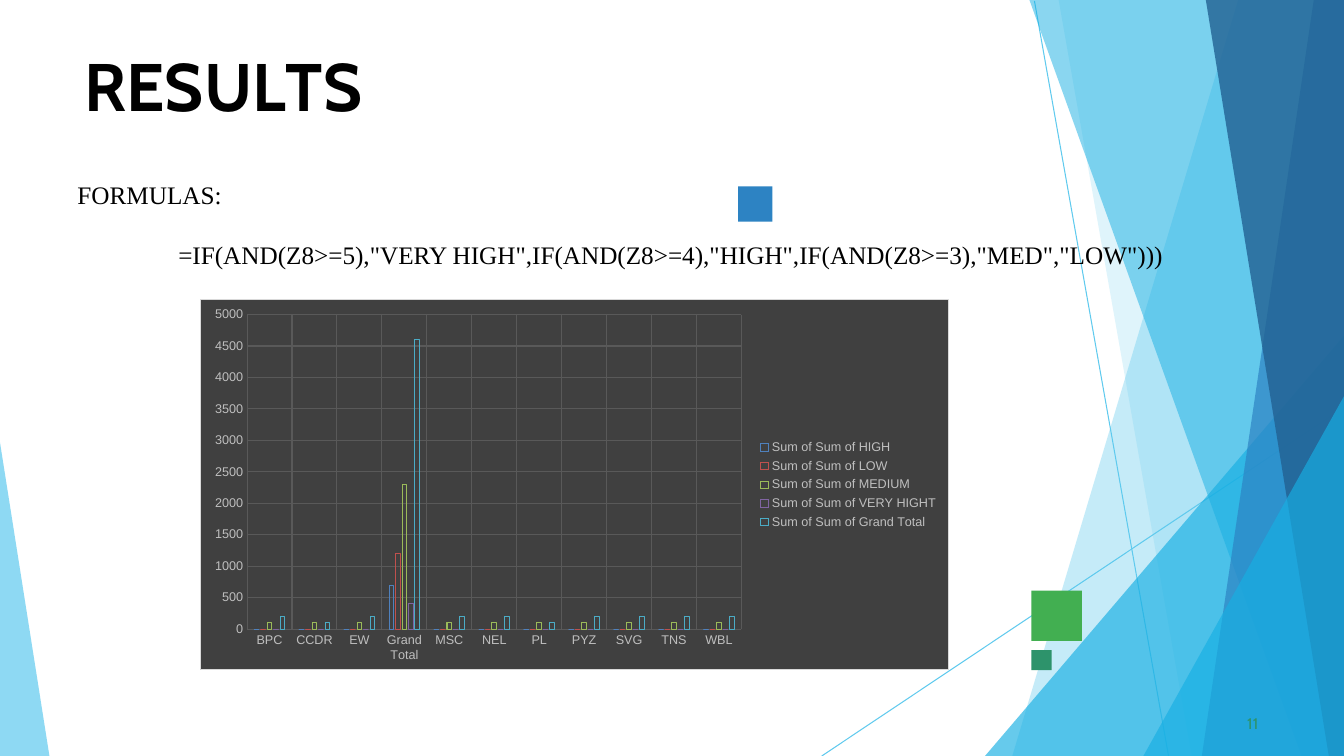
from lxml import etree
from pptx import Presentation
from pptx.chart.data import CategoryChartData
from pptx.dml.color import RGBColor
from pptx.enum.chart import XL_CHART_TYPE as CT, XL_LEGEND_POSITION as LP, XL_TICK_MARK as TM
from pptx.enum.shapes import MSO_CONNECTOR as MC, MSO_SHAPE as MS
from pptx.oxml import parse_xml
from pptx.oxml.ns import nsdecls, qn
from pptx.util import Inches, Pt

W, H = 13.33, 7.5
SERIF, SANS, CHART_FONT = "Times New Roman", "Cabin", "Arial"

# Each facet: outline points, colour, opacity in percent
FACETS = [
    ([(W, 0), (12.28, 0), (10.04, H), (W, H)], "5FCAEE", 36),
    ([(W, 0), (10.5, 0), (11.82, H), (W, H)], "5FCAEE", 20),
    ([(W, 3.33), (9.77, H), (W, H)], "17AFE3", 66),
    ([(W, 0), (10.21, 0), (12.91, H), (W, H)], "17AFE3", 50),
    ([(W, 0), (13.03, 0), (11.92, H), (W, H)], "2D83C3", 70),
    ([(W, 0), (11.96, 0), (13.18, H), (W, H)], "226192", 80),
    ([(W, 3.93), (11.34, H), (W, H)], "17AFE3", 66),
    ([(0, 4.39), (0, H), (0.49, H)], "5FCAEE", 70),
]
RAYS = [(10.26, 0.01, 11.59, H), (W, 4.04, 8.15, H)]
SQUARES = [
    (10.23, 5.86, 0.5, 0.5, "42AF51"),
    (7.32, 1.85, 0.34, 0.35, "2D83C3"),
    (10.23, 6.45, 0.2, 0.2, "2D936B"),
]
TITLE = [("R", 0), ("E", -0.4), ("S", 0.1), ("U", -0.3), ("L", -4), ("TS", 0)]
FORMULA = '=IF(AND(Z8>=5),"VERY HIGH",IF(AND(Z8>=4),"HIGH",IF(AND(Z8>=3),"MED","LOW")))'

CATS = ["BPC", "CCDR", "EW", "Grand Total", "MSC", "NEL", "PL", "PYZ", "SVG", "TNS", "WBL"]
SERIES = [
    ("HIGH", "4F81BD", [0, 0, 0, 700, 0, 0, 0, 0, 0, 0, 0]),
    ("LOW", "C0504D", [0, 0, 0, 1200, 0, 0, 0, 0, 0, 0, 0]),
    ("MEDIUM", "9BBB59", [100, 100, 100, 2300, 100, 100, 100, 100, 100, 100, 100]),
    ("VERY HIGHT", "8064A2", [0, 0, 0, 400, 0, 0, 0, 0, 0, 0, 0]),
    ("Grand Total", "4BACC6", [200, 100, 200, 4600, 200, 200, 100, 200, 200, 200, 200]),
]


def rgb(hex_color):
    return RGBColor.from_string(hex_color)


def paint(s, color, opacity=100):
    s.shadow.inherit = False
    s.fill.solid()
    s.fill.fore_color.rgb = rgb(color)
    s.line.fill.background()
    if opacity < 100:
        clr = s.fill._xPr.find(".//" + qn("a:srgbClr"))
        etree.SubElement(clr, qn("a:alpha")).set("val", str(opacity * 1000))


def set_font(font, color, **values):
    font.color.rgb = rgb(color)
    for name, value in values.items():
        setattr(font, name, value)


def add_run(p, text, color, spacing=0, **values):
    r = p.add_run()
    r.text = text
    set_font(r.font, color, **values)
    if spacing:
        r.font._element.set("spc", str(round(spacing * 100)))


def add_box(shapes, box, margins):
    tf = shapes.add_textbox(*map(Inches, box)).text_frame
    tf.word_wrap = True
    for side, value in zip(("left", "top", "right", "bottom"), margins):
        setattr(tf, "margin_" + side, Inches(value))
    return tf


def add_backdrop(shapes):
    # Thin rays behind the facets
    for ray in RAYS:
        c = shapes.add_connector(MC.STRAIGHT, *map(Inches, ray))
        c.line.color.rgb = rgb("5FCAEE")
        c.line.width = Pt(0.75)
        etree.SubElement(c._element.spPr, qn("a:effectLst"))
    # Translucent facets
    for points, color, opacity in FACETS:
        start, *rest = [(Inches(x), Inches(y)) for x, y in points]
        fb = shapes.build_freeform(*start)
        fb.add_line_segments(rest, close=True)
        paint(fb.convert_to_shape(), color, opacity)
    # Accent squares
    for *box, color in SQUARES:
        paint(shapes.add_shape(MS.RECTANGLE, *map(Inches, box)), color)


def add_title(shapes, box):
    p = add_box(shapes, box, (0.01, 0.02, 0, 0)).paragraphs[0]
    for text, spacing in TITLE:
        add_run(p, text, "000000", spacing, name=SANS, size=Pt(48), bold=True)


def add_formulas(shapes, box):
    tf = add_box(shapes, box, (0.1, 0.05, 0.1, 0.05))
    add_run(tf.paragraphs[0], "FORMULAS:", "000000", name=SERIF, size=Pt(18))
    p = tf.add_paragraph()
    p.space_before = Pt(21.5)
    p._p.get_or_add_pPr().set("marL", str(Inches(1)))
    add_run(p, FORMULA, "000000", name=SERIF, size=Pt(18))


def add_page_number(shapes, box):
    p = add_box(shapes, box, (0.04, 0, 0, 0)).paragraphs[0]
    add_run(p, "11", "2D936B", 0.1, name=SANS, size=Pt(11))


def add_results_chart(shapes, box):
    data = CategoryChartData()
    data.categories = CATS
    for name, _, values in SERIES:
        data.add_series("Sum of Sum of " + name, values)
    chart = shapes.add_chart(CT.COLUMN_CLUSTERED, *map(Inches, box), data).chart
    chart.has_title = False
    label = {"name": CHART_FONT, "size": Pt(9)}
    set_font(chart.font, "BFBFBF", **label)

    # Outlined columns
    plot = chart.plots[0]
    plot.gap_width, plot.overlap, plot.vary_by_categories = 315, -40, False
    for series, (_, color, _) in zip(plot.series, SERIES):
        series.format.fill.background()
        series.format.line.color.rgb = rgb(color)
        series.format.line.width = Pt(0.75)

    # Axes and grid
    for axis in (chart.category_axis, chart.value_axis):
        axis.major_tick_mark = axis.minor_tick_mark = TM.NONE
        axis.format.line.fill.background()
        axis.has_major_gridlines = True
        grid = axis.major_gridlines.format.line
        grid.color.rgb = rgb("595959")
        grid.width = Pt(0.75)
        set_font(axis.tick_labels.font, "BFBFBF", **label)
    chart.value_axis.minimum_scale = 0
    chart.value_axis.maximum_scale = 5000
    chart.value_axis.major_unit = 500

    # Legend
    chart.has_legend = True
    chart.legend.position = LP.RIGHT
    chart.legend.include_in_layout = False
    set_font(chart.legend.font, "BFBFBF", **label)

    # Dark panel with a pale border
    chart._chartSpace.find(qn("c:chart")).addnext(parse_xml(
        f'<c:spPr {nsdecls("c", "a")}>'
        '<a:solidFill><a:srgbClr val="404040"/></a:solidFill>'
        '<a:ln w="9525"><a:solidFill><a:srgbClr val="D9D9D9"/></a:solidFill></a:ln>'
        '</c:spPr>'))


def main():
    prs = Presentation()
    prs.slide_width, prs.slide_height = Inches(W), Inches(H)
    shapes = prs.slides.add_slide(prs.slide_layouts[6]).shapes
    add_backdrop(shapes)
    add_title(shapes, (0.83, 0.42, 11.68, 0.81))
    add_formulas(shapes, (0.67, 1.73, 12, 3.13))
    add_page_number(shapes, (12.33, 7.08, 0.25, 0.18))
    add_results_chart(shapes, (1.98, 2.97, 7.43, 3.68))
    prs.save("out.pptx")


if __name__ == "__main__":
    main()
